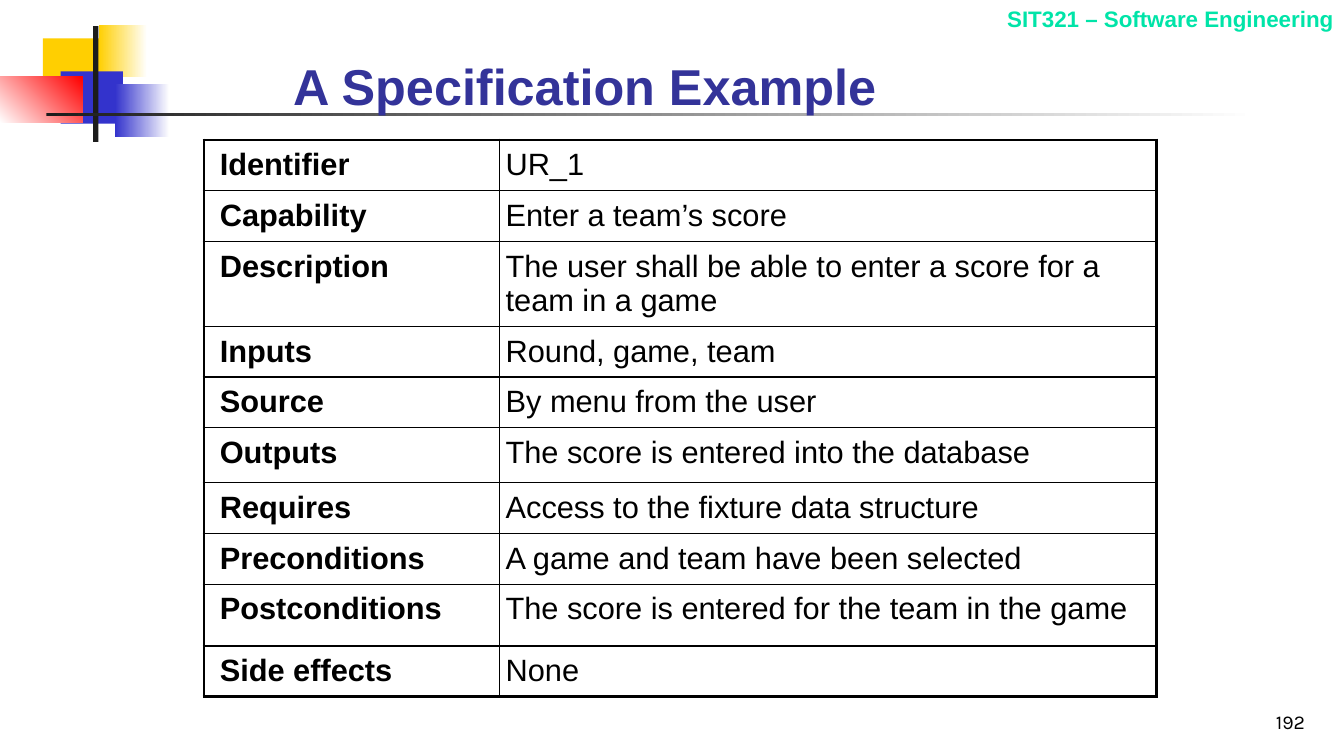
from lxml import etree
from pptx import Presentation
from pptx.dml.color import RGBColor
from pptx.enum.shapes import MSO_SHAPE
from pptx.enum.text import MSO_ANCHOR, PP_ALIGN
from pptx.oxml.ns import qn
from pptx.util import Cm, Pt

RECTANGLE = MSO_SHAPE.RECTANGLE
TOP, BOTTOM = MSO_ANCHOR.TOP, MSO_ANCHOR.BOTTOM
LEFT, RIGHT = PP_ALIGN.LEFT, PP_ALIGN.RIGHT

COLORS = {
    "yellow": "FFCF01",
    "blue": "3333CC",
    "red": "FF0000",
    "ink": "1C1C1C",
    "white": "FFFFFF",
    "black": "000000",
    "title": "333399",
    "course": "00E4A8",
}

# Left, top, width, height in cm, then one colour or two gradient colours and an angle
ORNAMENT = [
    (1.08, 0.97, 1.63, 1.32, ["yellow"], 0),
    (2.49, 0.62, 1.22, 1.32, ["yellow", "white"], 0),
    (1.53, 1.8, 1.57, 1.32, ["blue"], 0),
    (2.9, 2.13, 1.37, 1.32, ["blue", "white"], 0),
    (0, 1.93, 2.08, 1.17, ["white", "red"], 45),
    (2.35, 0.66, 0.13, 2.92, ["ink"], 0),
    (1.17, 2.84, 30.48, 0.08, ["ink", "white"], 0),
]

# Label, value, row height in cm
REQUIREMENT = [
    ("Identifier", "UR_1", 1.28),
    ("Capability", "Enter a team’s score", 1.28),
    ("Description", "The user shall be able to enter a score for a team in a game", 2.13),
    ("Inputs", "Round, game, team", 1.28),
    ("Source", "By menu from the user", 1.28),
    ("Outputs", "The score is entered into the database", 1.38),
    ("Requires", "Access to the fixture data structure", 1.28),
    ("Preconditions", "A game and team have been selected", 1.28),
    ("Postconditions", "The score is entered for the team in the game", 1.56),
    ("Side effects", "None", 1.28),
]
LABEL_SHARE = 0.31
THICK, THIN = 2.25, 1


def rgb(name):
    return RGBColor.from_string(COLORS[name])


def add_span(para, text, size, color, bold=False, font="Arial"):
    span = para.add_run()
    span.text = text
    span.font.name = font
    span.font.size = Pt(size)
    span.font.bold = bold
    span.font.color.rgb = rgb(color)


def add_text(page, box, text, size, color, align=LEFT, anchor=BOTTOM, **style):
    frame = page.shapes.add_textbox(*map(Cm, box)).text_frame
    frame.word_wrap = True
    frame.vertical_anchor = anchor
    para = frame.paragraphs[0]
    para.alignment = align
    add_span(para, text, size, color, **style)


def add_ornament(page, left, top):
    """Draw the coloured blocks and the two rules from the given corner."""
    for x, y, width, height, colors, angle in ORNAMENT:
        block = page.shapes.add_shape(
            RECTANGLE, Cm(left + x), Cm(top + y), Cm(width), Cm(height))
        block.shadow.inherit = False
        block.line.fill.background()
        if len(colors) == 1:
            block.fill.solid()
            block.fill.fore_color.rgb = rgb(colors[0])
            continue
        block.fill.gradient()
        block.fill.gradient_angle = angle
        for stop, color in zip(block.fill.gradient_stops, colors):
            stop.color.rgb = rgb(color)


def set_borders(cell, widths):
    """Set the left, right, top and bottom border widths in points."""
    properties = cell._tc.get_or_add_tcPr()
    for side, width in zip("LRTB", widths):
        line = etree.SubElement(properties, qn(f"a:ln{side}"), w=str(Pt(width)))
        fill = etree.SubElement(line, qn("a:solidFill"))
        etree.SubElement(fill, qn("a:srgbClr"), val=COLORS["black"])


def add_requirement_table(page, left, top, width):
    height = sum(row[-1] for row in REQUIREMENT)
    table = page.shapes.add_table(
        len(REQUIREMENT), 2, Cm(left), Cm(top), Cm(width), Cm(height)).table
    table.first_row = table.horz_banding = False
    table.columns[0].width = Cm(width * LABEL_SHARE)
    table.columns[1].width = Cm(width * (1 - LABEL_SHARE))
    last = len(REQUIREMENT) - 1
    for index, (label, value, row_height) in enumerate(REQUIREMENT):
        table.rows[index].height = Cm(row_height)
        upper = THICK if index == 0 else THIN
        lower = THICK if index == last else THIN
        for column, text in enumerate((label, value)):
            is_label = column == 0
            cell = table.cell(index, column)
            sides = (THICK, THIN) if is_label else (THIN, THICK)
            set_borders(cell, (*sides, upper, lower))
            cell.fill.background()
            cell.margin_left = Cm(0.4 if is_label else 0.16)
            cell.margin_right = 0
            cell.margin_top = Cm(0.2)
            cell.margin_bottom = Cm(0.05)
            cell.vertical_anchor = TOP
            add_span(cell.text_frame.paragraphs[0], text, 22, "black", bold=is_label)


def add_specification_page(deck):
    page = deck.slides.add_slide(deck.slide_layouts[6])
    add_ornament(page, 0, 0)
    add_text(page, (20.4, 0, 13.46, 0.94), "SIT321 – Software Engineering",
             16, "course", align=RIGHT, anchor=TOP, bold=True)
    add_text(page, (26.08, 17.33, 7.06, 1.27), "192",
             14, "black", align=RIGHT, font="Karla")
    add_text(page, (7.14, 1.14, 18.69, 1.9), "A Specification Example",
             36, "title", bold=True)
    add_requirement_table(page, 5.14, 3.53, 24.01)


def main():
    deck = Presentation()
    deck.slide_width, deck.slide_height = Cm(33.87), Cm(19.05)
    add_specification_page(deck)
    deck.save("out.pptx")


if __name__ == "__main__":
    main()
